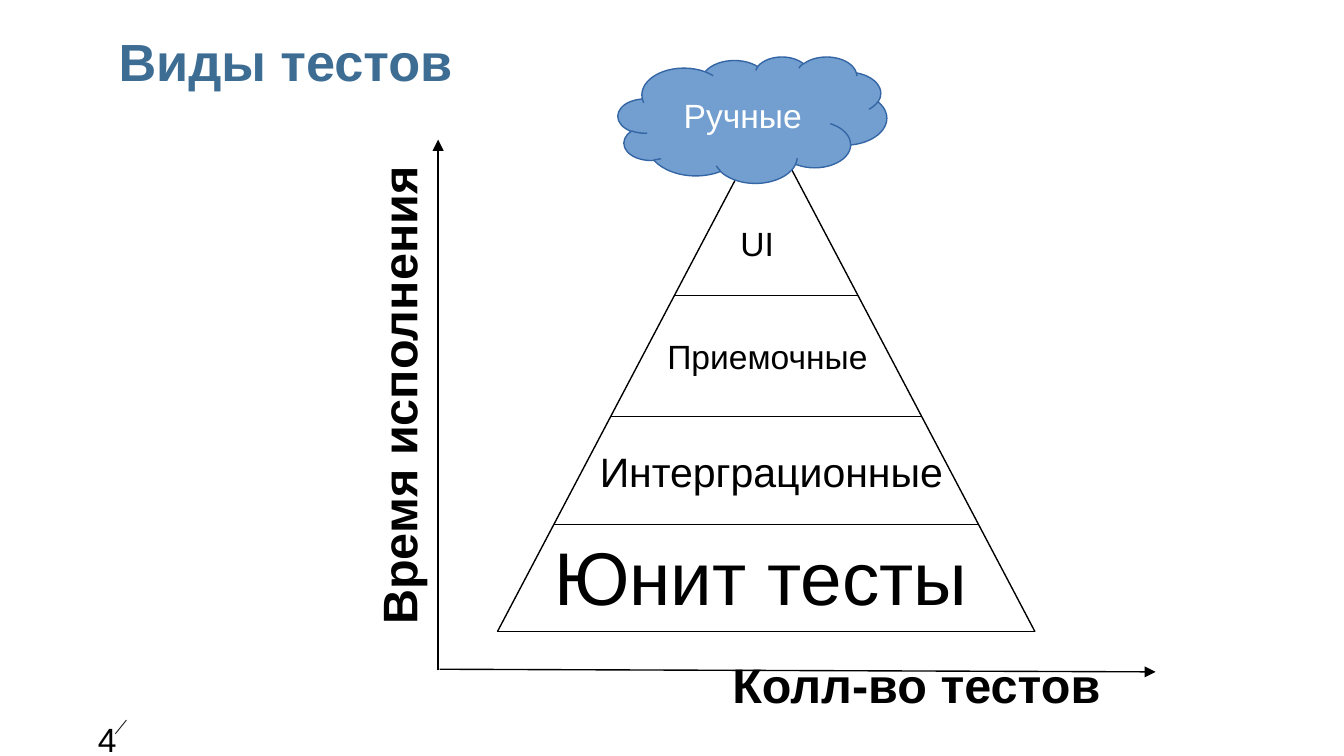
from lxml.etree import SubElement
from pptx import Presentation
from pptx.dml.color import RGBColor
from pptx.enum.shapes import MSO_CONNECTOR, MSO_SHAPE
from pptx.enum.text import MSO_ANCHOR as ANCHOR, PP_ALIGN as ALIGN
from pptx.oxml.ns import qn
from pptx.util import Cm, Pt

TITLE = ("Виды тестов", 28, (2.24, 0.56, 22.58, 1.19))
NUMBER = ("4", 18, (1.75, 13.54, 0.43, 0.61))
NUMBER_SLASH = (2.39, 13.61, 2.18, 13.87)
AXES = [
    ("Колл-во тестов", (13.59, 12.34, 8.2, 1.32), 0, (8.31, 12.65, 21.84, 12.7)),
    ("Время исполнения", (2.51, 6.88, 9.6, 0.76), 270, (8.28, 12.67, 8.28, 2.64)),
]
LEVELS = [
    ("Юнит тесты", 40, (10.06, 10.46, 8.64, 1.02)),
    ("Интерграционные", 22, (11.94, 8.69, 5.28, 0.53)),
    ("Приемочные", 18, (12.75, 6.5, 3.51, 0.53)),
    ("UI", 18, (13.46, 4.37, 1.7, 0.51)),
]
CLOUD = ("Ручные", 18, (11.68, 1.07, 5.08, 2.39))
APEX_X, APEX_Y = 14.48, 2.29
BASE_Y, HALF_BASE = 11.94, 5.08
DIVIDERS = [BASE_Y, 9.91, 7.87, 5.59]


def rgb(value):
    return RGBColor.from_string(value)


def write(s, text, size, color="000000", bold=False, align=ALIGN.LEFT,
          anchor=ANCHOR.TOP, margins=(0.25, 0.13), wrap=False, spacing=0.94):
    tf = s.text_frame
    tf.word_wrap = wrap
    tf.vertical_anchor = anchor
    tf.margin_left = tf.margin_right = Cm(margins[0])
    tf.margin_top = tf.margin_bottom = Cm(margins[1])
    p = tf.paragraphs[0]
    p.text = text
    p.alignment = align
    p.line_spacing = spacing
    p.font.name = "Arial"
    p.font.size = Pt(size)
    p.font.bold = bold
    p.font.color.rgb = rgb(color)


def add_line(sp, ends, color="000000", width=0.75, arrow=False):
    s = sp.add_connector(MSO_CONNECTOR.STRAIGHT, *map(Cm, ends))
    s.line.color.rgb = rgb(color)
    s.line.width = Pt(width)
    if arrow:
        SubElement(s.line._get_or_add_ln(), qn("a:tailEnd"), type="triangle")
    SubElement(s._element.spPr, qn("a:effectLst"))


def add_label(sp, kind, label, fill, line, color):
    text, size, box = label
    s = sp.add_shape(kind, *map(Cm, box))
    s.shadow.inherit = False
    s.fill.solid()
    s.fill.fore_color.rgb = rgb(fill)
    s.line.color.rgb = rgb(line)
    s.line.width = Pt(0.75)
    write(s, text, size, color, align=ALIGN.CENTER, anchor=ANCHOR.MIDDLE)


def main():
    prs = Presentation()
    prs.slide_width, prs.slide_height = Cm(25.4), Cm(14.29)
    slide = prs.slides.add_slide(prs.slide_layouts[5])
    sp = slide.shapes

    text, size, box = TITLE
    title = sp.title
    title.left, title.top, title.width, title.height = map(Cm, box)
    write(title, text, size, "3E6D94", True, margins=(0, 0), wrap=True, spacing=1.0)

    text, size, box = NUMBER
    write(sp.add_textbox(*map(Cm, box)), text, size, margins=(0.1, 0.05),
          wrap=True, spacing=1.0)
    add_line(sp, NUMBER_SLASH, "262626", 0.5)

    for text, box, rotation, ends in AXES:
        add_line(sp, ends, arrow=True)
        s = sp.add_textbox(*map(Cm, box))
        s.rotation = rotation
        write(s, text, 26, bold=True, wrap=True)

    for level in LEVELS:
        add_label(sp, MSO_SHAPE.RECTANGLE, level, "FFFFFF", "FFFFFF", "000000")

    for side in (-1, 1):
        add_line(sp, (APEX_X + side * HALF_BASE, BASE_Y, APEX_X, APEX_Y))
    for y in DIVIDERS:
        half = HALF_BASE * (y - APEX_Y) / (BASE_Y - APEX_Y)
        add_line(sp, (APEX_X - half, y, APEX_X + half, y))

    add_label(sp, MSO_SHAPE.CLOUD, CLOUD, "729FCF", "3465A4", "FFFFFF")
    prs.save("out.pptx")


if __name__ == "__main__":
    main()
